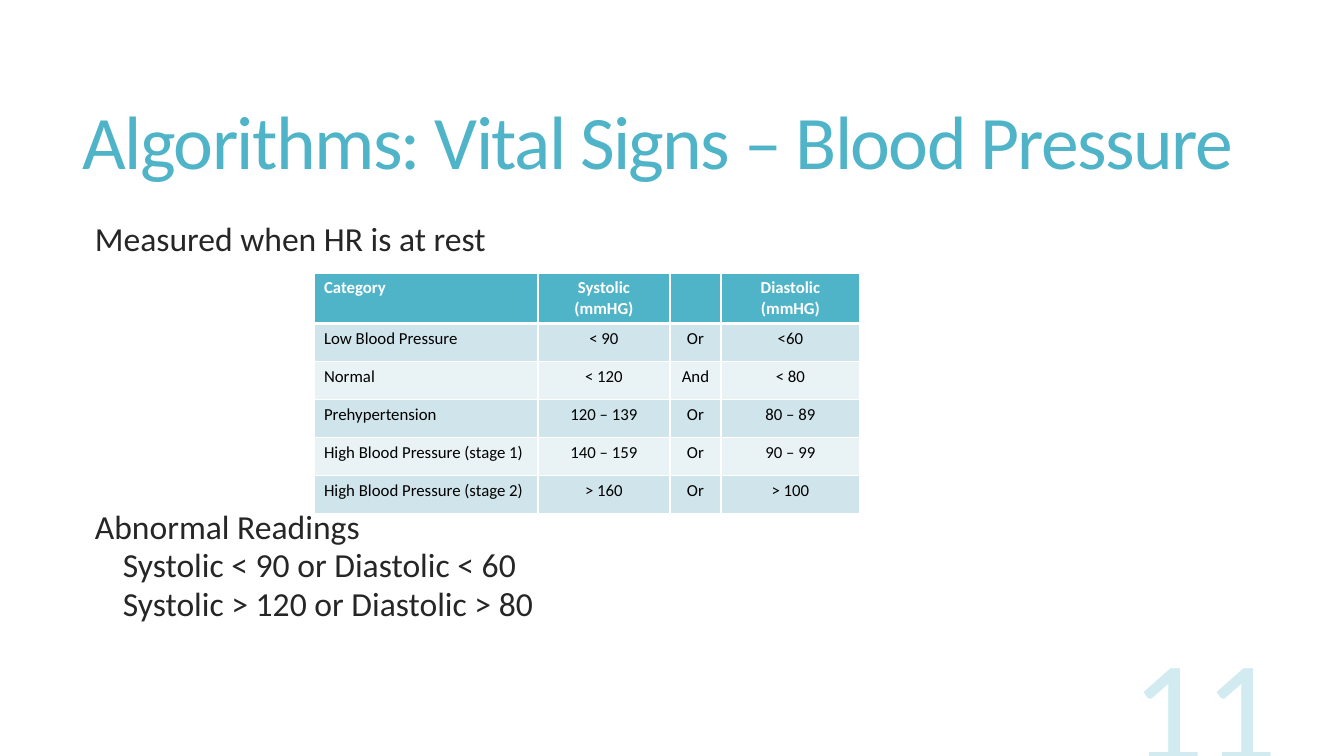
from lxml import etree
from pptx import Presentation
from pptx.dml.color import RGBColor
from pptx.enum.text import MSO_ANCHOR, PP_ALIGN
from pptx.oxml.ns import qn
from pptx.util import Emu, Pt

EMU_PER_PIXEL = 914400 / 100.8
FONT = "Calibri"
COLORS = {
    "accent": "50B4C8",
    "body": "262626",
    "cell": "000000",
    "white": "FFFFFF",
    "band_dark": "D0E5EB",
    "band_light": "E9F2F5",
}
READINGS = [
    ("Category", "Systolic (mmHG)", "", "Diastolic (mmHG)"),
    ("Low Blood Pressure", "< 90", "Or", "<60"),
    ("Normal", "< 120", "And", "< 80"),
    ("Prehypertension", "120 – 139", "Or", "80 – 89"),
    ("High Blood Pressure (stage 1)", "140 – 159", "Or", "90 – 99"),
    ("High Blood Pressure (stage 2)", "> 160", "Or", "> 100"),
]
COLUMN_WIDTHS = (224, 132, 51, 139)
HEADER_HEIGHT, ROW_HEIGHT = 49, 38


def px(pixels):
    return Emu(round(pixels * EMU_PER_PIXEL))


def write(paragraph, text, size, color, bold=False, align=PP_ALIGN.LEFT,
          line_spacing=None, space_before=0, indent=0, tracking=None, alpha=None):
    """Fill a paragraph with one formatted run."""
    paragraph.alignment = align
    paragraph.space_before = Pt(space_before)
    if line_spacing:
        paragraph.line_spacing = line_spacing
    if indent:
        paragraph._p.get_or_add_pPr().set("marL", str(px(indent)))
    run = paragraph.add_run()
    run.text = text
    font = run.font
    font.name, font.size, font.bold = FONT, Pt(size), bold
    font.color.rgb = RGBColor.from_string(COLORS[color])
    properties = run._r.get_or_add_rPr()
    if tracking is not None:
        properties.set("spc", str(round(tracking * 100)))
    if alpha is not None:
        fill_color = properties.find(".//" + qn("a:srgbClr"))
        etree.SubElement(fill_color, qn("a:alpha"), val=str(alpha * 1000))


def add_text_box(slide, left, top, width, height, anchor=MSO_ANCHOR.TOP):
    frame = slide.shapes.add_textbox(px(left), px(top), px(width), px(height)).text_frame
    frame.word_wrap = True
    frame.vertical_anchor = anchor
    return frame


def set_borders(cell, bottom_width):
    """Give a cell white borders; they precede the fill in its XML."""
    properties = cell._tc.get_or_add_tcPr()
    sides = (("a:lnL", 1), ("a:lnR", 1), ("a:lnT", 1), ("a:lnB", bottom_width))
    for position, (side, width) in enumerate(sides):
        line = etree.Element(qn(side), w=str(Pt(width)))
        fill = etree.SubElement(line, qn("a:solidFill"))
        etree.SubElement(fill, qn("a:srgbClr"), val=COLORS["white"])
        properties.insert(position, line)


def add_readings_table(slide, left, top):
    heights = [HEADER_HEIGHT] + [ROW_HEIGHT] * (len(READINGS) - 1)
    table = slide.shapes.add_table(
        len(READINGS), len(COLUMN_WIDTHS), px(left), px(top),
        px(sum(COLUMN_WIDTHS)), px(sum(heights))).table
    for column, width in zip(table.columns, COLUMN_WIDTHS):
        column.width = px(width)
    for row_index, values in enumerate(READINGS):
        table.rows[row_index].height = px(heights[row_index])
        header = row_index == 0
        band = "accent" if header else ("band_light", "band_dark")[row_index % 2]
        for column_index, value in enumerate(values):
            cell = table.cell(row_index, column_index)
            cell.fill.solid()
            cell.fill.fore_color.rgb = RGBColor.from_string(COLORS[band])
            set_borders(cell, bottom_width=3 if header else 1)
            write(cell.text_frame.paragraphs[0], value, 12,
                  "white" if header else "cell", bold=header,
                  align=PP_ALIGN.CENTER if column_index else PP_ALIGN.LEFT)


def add_body(slide):
    frame = add_text_box(slide, 75, 222, 1185, 415)
    # The space before the second line leaves room for the table
    lines = [
        ("Measured when HR is at rest", 10, 0),
        ("Abnormal Readings", 10, 184),
        ("Systolic < 90 or Diastolic < 60", 38, 6),
        ("Systolic > 120 or Diastolic > 80", 38, 6),
    ]
    for index, (text, indent, space_before) in enumerate(lines):
        paragraph = frame.add_paragraph() if index else frame.paragraphs[0]
        write(paragraph, text, 24, "body", indent=indent,
              space_before=space_before, line_spacing=0.75)


def main():
    presentation = Presentation()
    presentation.slide_width, presentation.slide_height = px(1344), px(756)
    slide = presentation.slides.add_slide(presentation.slide_layouts[6])

    # Title
    title = add_text_box(slide, 73, 55, 1187, 183, MSO_ANCHOR.MIDDLE)
    write(title.paragraphs[0], "Algorithms: Vital Signs – Blood Pressure", 54,
          "accent", line_spacing=0.85, tracking=-1.2)

    # Body text and blood pressure table
    add_body(slide)
    add_readings_table(slide, 314, 273)

    # Slide number
    number = add_text_box(slide, 966, 641, 322, 154, MSO_ANCHOR.BOTTOM)
    write(number.paragraphs[0], "11", 103, "accent", align=PP_ALIGN.RIGHT, alpha=25)

    presentation.save("out.pptx")


main()
